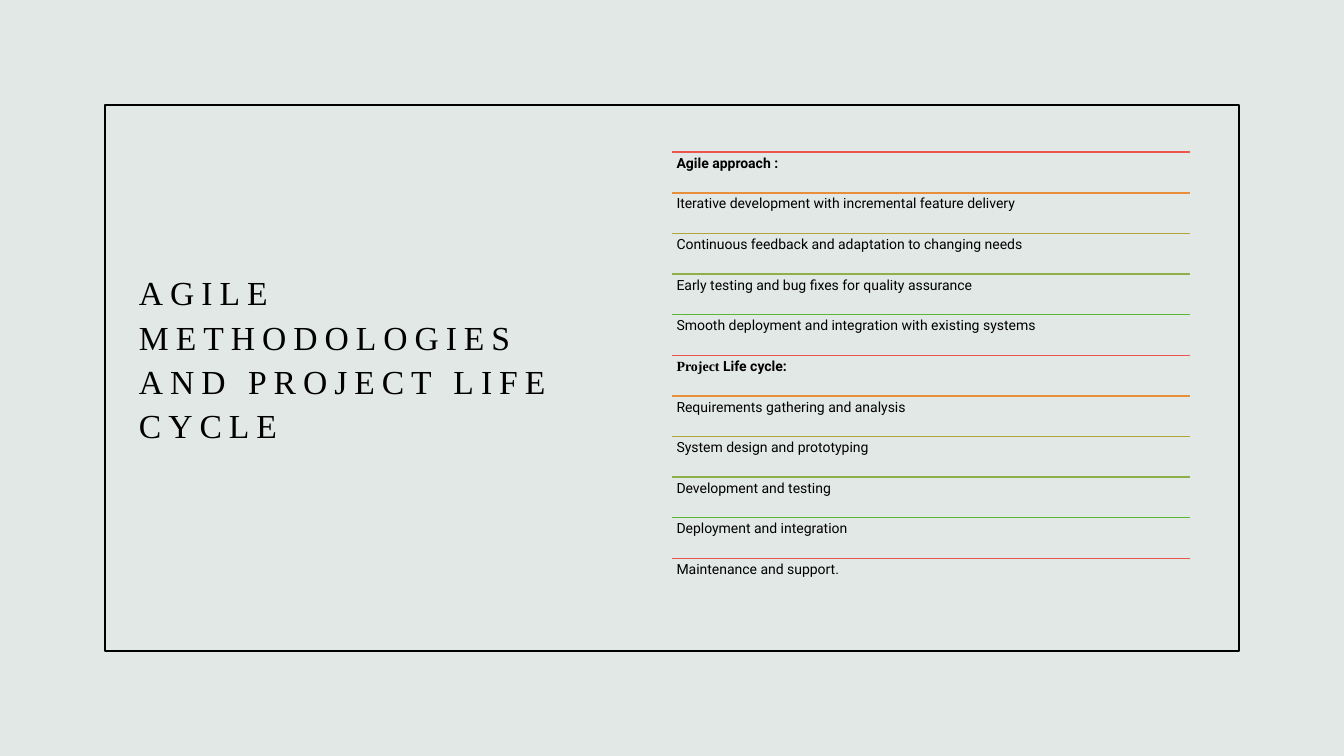
from dataclasses import dataclass
from itertools import cycle

from lxml.etree import SubElement
from pptx import Presentation
from pptx.dml.color import RGBColor
from pptx.enum.shapes import MSO_CONNECTOR, MSO_SHAPE
from pptx.enum.text import MSO_ANCHOR
from pptx.oxml.ns import qn
from pptx.slide import Slide
from pptx.text.text import TextFrame
from pptx.util import Inches, Pt

SERIF, SANS = "Times New Roman", "Roboto"
BLACK, BACKGROUND = "000000", "E2E8E6"
RULE_COLORS = ("EB574E", "E98E3B", "B2A53B", "8FAE4C", "5AB837")
LIST_LEFT, LIST_TOP, LIST_WIDTH, ROW_HEIGHT = 6.67, 1.51, 5.13, 0.403


@dataclass(frozen=True)
class Span:
    text: str
    font: str = SANS
    size: float = 10
    bold: bool = False
    spacing: float = 0


ROWS: list[list[Span]] = [
    [Span("Agile approach :", bold=True)],
    [Span("Iterative development with incremental feature delivery")],
    [Span("Continuous feedback and adaptation to changing needs")],
    [Span("Early testing and bug fixes for quality assurance")],
    [Span("Smooth deployment and integration with existing systems")],
    [Span("Project", font=SERIF, bold=True), Span(" Life cycle:", bold=True)],
    [Span("Requirements gathering and analysis")],
    [Span("System design and prototyping")],
    [Span("Development and testing")],
    [Span("Deployment and integration")],
    [Span("Maintenance and support.")],
]
TITLE = Span("AGILE METHODOLOGIES AND PROJECT LIFE CYCLE", font=SERIF, size=24, spacing=5)


def color(value: str) -> RGBColor:
    return RGBColor.from_string(value)


def add_text(page: Slide, left: float, top: float, width: float, height: float,
             spans: list[Span], line_spacing: float) -> TextFrame:
    box = page.shapes.add_textbox(Inches(left), Inches(top), Inches(width), Inches(height))
    frame = box.text_frame
    frame.word_wrap = True
    para = frame.paragraphs[0]
    para.line_spacing = line_spacing
    for span in spans:
        run = para.add_run()
        run.text = span.text
        formats = {"name": span.font, "size": Pt(span.size), "bold": span.bold}
        for name, value in formats.items():
            setattr(run.font, name, value)
        run.font.color.rgb = color(BLACK)
        if span.spacing:
            run.font._element.set("spc", str(round(span.spacing * 100)))
    return frame


def add_frame(page: Slide) -> None:
    border = page.shapes.add_shape(
        MSO_SHAPE.RECTANGLE, Inches(1.04), Inches(1.04), Inches(11.25), Inches(5.42))
    border.shadow.inherit = False
    border.fill.background()
    border.line.color.rgb = color(BLACK)
    border.line.width = Pt(1.5)


def add_row(page: Slide, top: float, spans: list[Span], rule_color: str) -> None:
    """Draw a coloured rule with its text below."""
    rule = page.shapes.add_connector(
        MSO_CONNECTOR.STRAIGHT, Inches(LIST_LEFT), Inches(top),
        Inches(LIST_LEFT + LIST_WIDTH), Inches(top))
    rule.line.color.rgb = color(rule_color)
    rule.line.width = Pt(1)
    SubElement(rule._element.spPr, qn("a:effectLst"))
    frame = add_text(page, LIST_LEFT, top, LIST_WIDTH, ROW_HEIGHT, spans, 0.9)
    for side in ("left", "top", "right", "bottom"):
        setattr(frame, f"margin_{side}", Inches(0.04))


def main() -> None:
    deck = Presentation()
    deck.slide_width, deck.slide_height = Inches(13.33), Inches(7.5)
    page = deck.slides.add_slide(deck.slide_layouts[6])
    page.background.fill.solid()
    page.background.fill.fore_color.rgb = color(BACKGROUND)

    add_frame(page)
    title = add_text(page, 1.28, 2.59, 4.98, 1.9, [TITLE], 1.1)
    title.vertical_anchor = MSO_ANCHOR.MIDDLE
    for index, (spans, rule_color) in enumerate(zip(ROWS, cycle(RULE_COLORS))):
        add_row(page, LIST_TOP + index * ROW_HEIGHT, spans, rule_color)
    deck.save("out.pptx")


if __name__ == "__main__":
    main()
